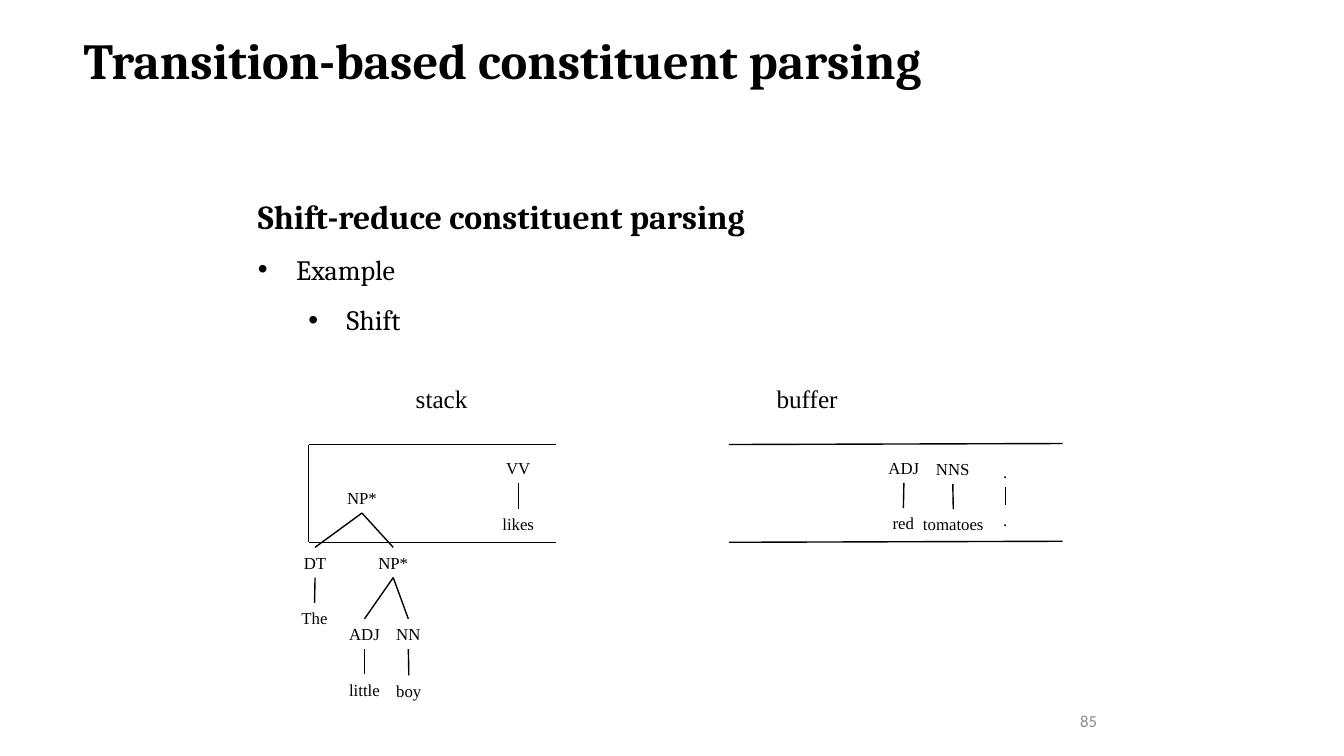
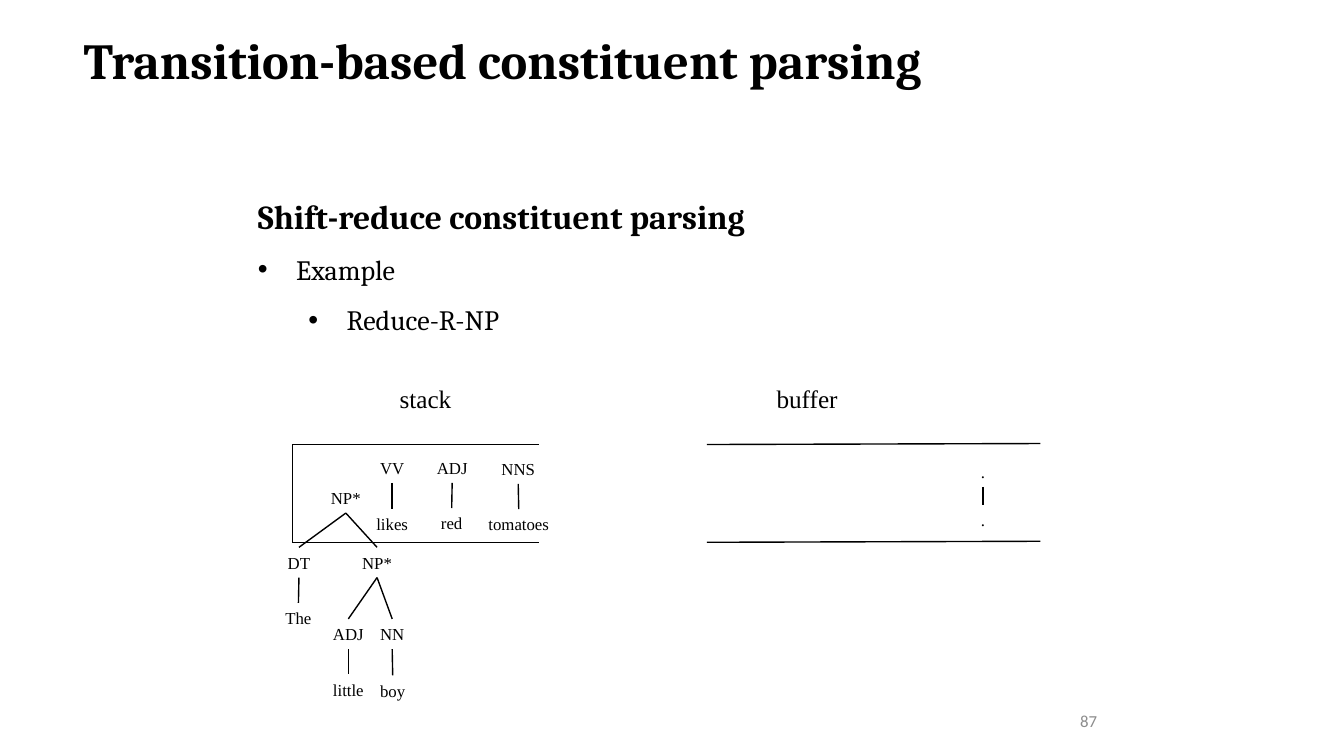
import dataclasses

import pptx
import pptx.dml.color
import pptx.enum.shapes
import pptx.enum.text
import pptx.oxml.ns
import pptx.util
from lxml import etree

PX = 9144
BLACK = pptx.dml.color.RGBColor(0x00, 0x00, 0x00)
GRAY = pptx.dml.color.RGBColor(0x8C, 0x8C, 0x8C)
HEADING_FONT, TREE_FONT, NUMBER_FONT = "Cambria", "Times New Roman", "Calibri"
ALIGN = pptx.enum.text.PP_ALIGN
ANCHOR = pptx.enum.text.MSO_ANCHOR
FIT = pptx.enum.text.MSO_AUTO_SIZE.SHAPE_TO_FIT_TEXT
TOP_SIDE, BOTTOM_SIDE = 0, 2
STACK_WIDTH, BUFFER_WIDTH = 245, 331
RAIL_TOP, RAIL_BOTTOM = 441, 538
NODE_HEIGHT = 30
LABEL_WIDTHS = {
    "DT": 43, "ADJ": 51, "NN": 44, "VV": 44, "NNS": 54, "NP*": 50, ".": 24,
    "The": 46, "little": 51, "boy": 45, "likes": 52, "red": 42, "tomatoes": 81,
}


@dataclasses.dataclass
class Node:
    """A tree label with its centre, its top and the nodes below it."""
    label: str
    centre: int
    top: int
    children: tuple = ()


def px(length):
    """Turn pixels into EMU."""
    return pptx.util.Emu(length * PX)


def leaf(tag, word, centre, top, drop=55):
    """Return a part-of-speech tag above its word."""
    return Node(tag, centre, top, (Node(word, centre, top + drop),))


def noun_phrase(left):
    """Return the tree of "The little boy" for a stack starting at left."""
    inner = Node("NP*", left + 84, 543, (
        leaf("ADJ", "little", left + 55, 614),
        leaf("NN", "boy", left + 99, 614, 56)))
    return Node("NP*", left + 53, 479, (leaf("DT", "The", left + 6, 543), inner))


def add_run(paragraph, text, size, font, color=BLACK, bold=False):
    """Append one styled run to a paragraph."""
    run = paragraph.add_run()
    run.text = text
    run.font.size = pptx.util.Pt(size)
    run.font.name = font
    run.font.bold = bold
    run.font.color.rgb = color


def add_box(slide, left, top, width, height, wrap=True):
    """Add an empty text box that fits its text."""
    box = slide.shapes.add_textbox(px(left), px(top), px(width), px(height))
    box.text_frame.word_wrap = wrap
    box.text_frame.auto_size = FIT
    return box


def add_label(slide, text, centre, top, width, height, size):
    """Add a one-line label centred on a column."""
    box = add_box(slide, centre - width // 2, top, width, height, wrap=False)
    paragraph = box.text_frame.paragraphs[0]
    paragraph.alignment = ALIGN.CENTER
    add_run(paragraph, text, size, TREE_FONT)
    return box


def add_line(slide, x1=0, y1=0, x2=0, y2=0):
    """Add a thin black line."""
    line = slide.shapes.add_connector(
        pptx.enum.shapes.MSO_CONNECTOR.STRAIGHT, px(x1), px(y1), px(x2), px(y2))
    line.line.color.rgb = BLACK
    line.line.width = pptx.util.Pt(1)
    etree.SubElement(line._element.spPr, pptx.oxml.ns.qn("a:effectLst"))
    return line


def add_tree(slide, node):
    """Add a node and its subtree, joined by edges."""
    box = add_label(slide, node.label, node.centre, node.top,
                    LABEL_WIDTHS[node.label], NODE_HEIGHT, 12)
    for child in node.children:
        edge = add_line(slide)
        edge.begin_connect(box, BOTTOM_SIDE)
        edge.end_connect(add_tree(slide, child), TOP_SIDE)
    return box


def set_bullet(paragraph, level):
    """Give a paragraph a hanging round bullet."""
    paragraph.level = level
    properties = paragraph._p.get_or_add_pPr()
    properties.set("marL", str(px(38 + 50 * level)))
    properties.set("indent", str(px(-38)))
    etree.SubElement(properties, pptx.oxml.ns.qn("a:buFont"), typeface="Arial")
    etree.SubElement(properties, pptx.oxml.ns.qn("a:buChar"), char="•")


def add_heading(slide, action, number):
    """Add the title, the outline and the slide number."""
    title = add_box(slide, 73, 24, 871, 71)
    add_run(title.text_frame.paragraphs[0], "Transition-based constituent parsing",
            36, HEADING_FONT, bold=True)

    outline = add_box(slide, 246, 169, 771, 167).text_frame
    topic = outline.paragraphs[0]
    topic.line_spacing = 1.5
    add_run(topic, "Shift-reduce constituent parsing", 24, HEADING_FONT, bold=True)
    for level, text in enumerate(("Example", action)):
        point = outline.add_paragraph()
        set_bullet(point, level)
        point.line_spacing = 1.5
        add_run(point, text, 20, HEADING_FONT)

    footer = add_box(slide, 873, 695, 225, 40).text_frame
    footer.auto_size = pptx.enum.text.MSO_AUTO_SIZE.NONE
    footer.vertical_anchor = ANCHOR.MIDDLE
    footer.paragraphs[0].alignment = ALIGN.RIGHT
    add_run(footer.paragraphs[0], str(number), 12, NUMBER_FONT, GRAY)


def add_state(slide, stack_left, buffer_left, trees):
    """Add the stack, the buffer and the trees they hold."""
    add_label(slide, "stack", stack_left + 132, 375, 72, 40, 18)
    add_label(slide, "buffer", 800, 375, 81, 40, 18)
    add_line(slide, stack_left, RAIL_TOP, stack_left, RAIL_BOTTOM)
    for y in (RAIL_TOP, RAIL_BOTTOM):
        add_line(slide, stack_left, y, stack_left + STACK_WIDTH, y)
        add_line(slide, buffer_left, y, buffer_left + BUFFER_WIDTH, y - 1)
    full_stop = leaf(".", ".", buffer_left + 274, 453, 48)
    for tree in (noun_phrase(stack_left), *trees, full_stop):
        add_tree(slide, tree)


def main():
    """Build both parsing steps and save them."""
    deck = pptx.Presentation()
    deck.slide_width, deck.slide_height = px(1333), px(750)
    steps = (
        ("Shift", 85, 306, 723, (514, 896, 945)),
        ("Reduce-R-NP", 87, 290, 701, (389, 448, 514)),
    )
    for action, number, stack_left, buffer_left, (verb, adjective, noun) in steps:
        slide = deck.slides.add_slide(deck.slide_layouts[6])
        add_heading(slide, action, number)
        add_state(slide, stack_left, buffer_left, (
            leaf("VV", "likes", verb, 449, 56),
            leaf("ADJ", "red", adjective, 449),
            leaf("NNS", "tomatoes", noun, 450)))
    deck.save("out.pptx")


if __name__ == "__main__":
    main()
